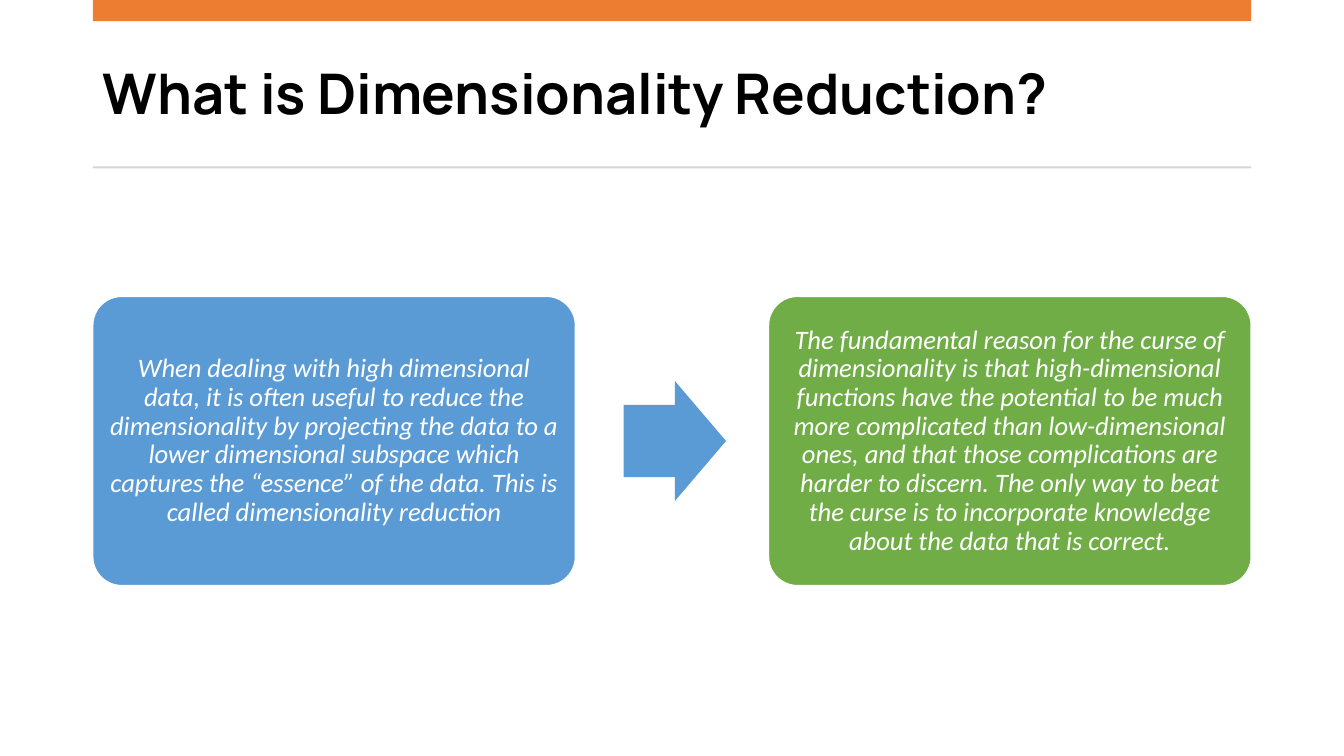
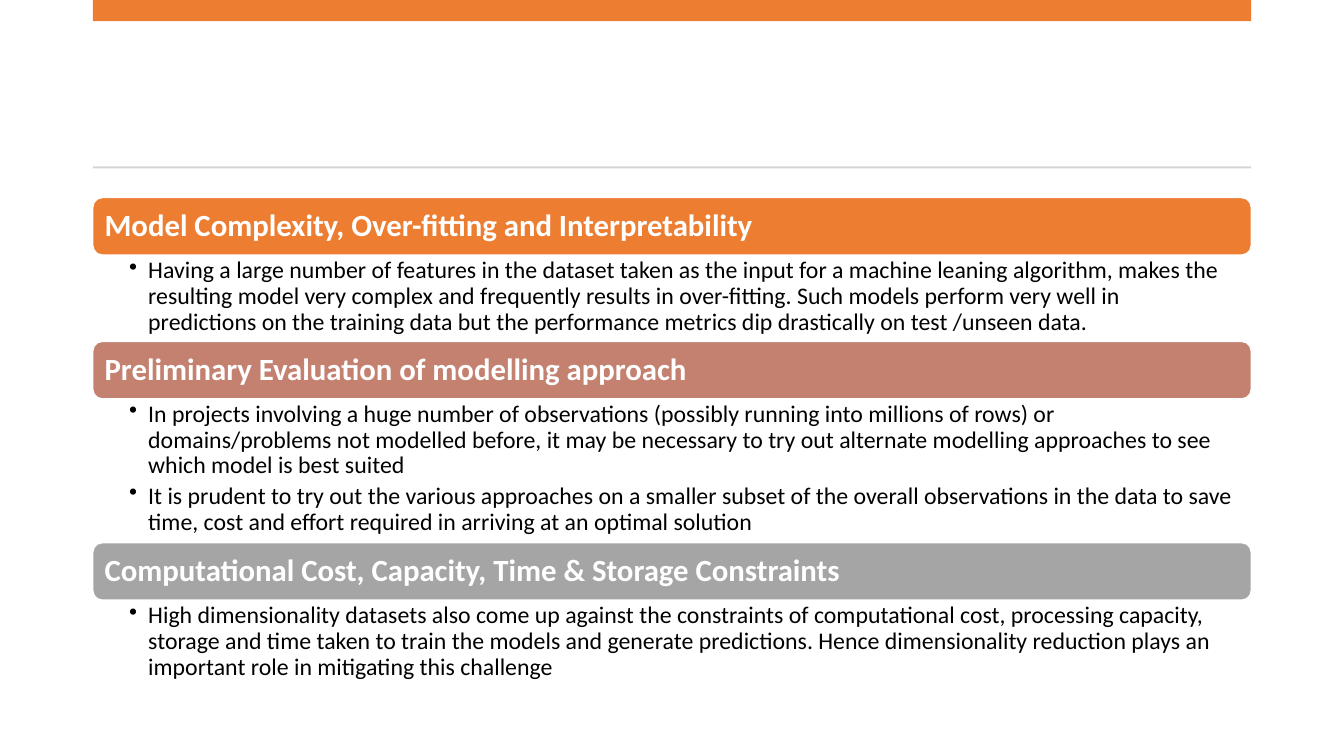
from pptx import Presentation
from pptx.dml.color import RGBColor
from pptx.enum.shapes import MSO_SHAPE
from pptx.enum.text import MSO_ANCHOR, MSO_AUTO_SIZE, PP_ALIGN
from pptx.oxml.ns import qn
from pptx.util import Inches, Pt
from lxml.etree import SubElement

WIDE, HIGH = 13.33, 7.5
LEFT, SPAN = 0.92, 11.49
COLS = 12
ORANGE, BLUE, GREEN = "ED7D31", "5B9BD5", "70AD47"
ROSE, GRAY, RULE = "C48170", "A5A5A5", "D5D5D5"
BLACK, WHITE = "000000", "FFFFFF"

CARDS = [
    (BLUE, "When dealing with high dimensional data, it is often useful to reduce the "
     "dimensionality by projecting the data to a lower dimensional subspace which "
     "captures the “essence” of the data. This is called dimensionality reduction"),
    (GREEN, "The fundamental reason for the curse of dimensionality is that "
     "high-dimensional functions have the potential to be much more complicated than "
     "low-dimensional ones, and that those complications are harder to discern. The "
     "only way to beat the curse is to incorporate knowledge about the data that is "
     "correct."),
]

# Heading, colour, lines of body text, bullets
TOPICS = [
    ("Model Complexity, Over-fitting and Interpretability", ORANGE, 3, [
        "Having a large number of features in the dataset taken as the input for a "
        "machine leaning algorithm, makes the resulting model very complex and "
        "frequently results in over-fitting. Such models perform very well in "
        "predictions on the training data but the performance metrics dip drastically "
        "on test /unseen data."]),
    ("Preliminary Evaluation of modelling approach", ROSE, 5, [
        "In projects involving a huge number of observations (possibly running into "
        "millions of rows) or domains/problems not modelled before, it may be necessary "
        "to try out alternate modelling approaches to see which model is best suited",
        "It is prudent to try out the various approaches on a smaller subset of the "
        "overall observations in the data to save time, cost and effort required in "
        "arriving at an optimal solution"]),
    ("Computational Cost, Capacity, Time & Storage Constraints", GRAY, 3, [
        "High dimensionality datasets also come up against the constraints of "
        "computational cost, processing capacity, storage and time taken to train the "
        "models and generate predictions. Hence dimensionality reduction plays an "
        "important role in mitigating this challenge"]),
]


def color(code):
    return RGBColor.from_string(code)


def inches(box):
    return [Inches(part) for part in box]


def write(shape, *texts, size, ink, font="Calibri", bold=False, italic=False,
          align=PP_ALIGN.LEFT, anchor=MSO_ANCHOR.MIDDLE,
          inset=(0.1, 0.05, 0.1, 0.05), after=0, bullet=False):
    """Fill a shape with paragraphs in one format."""
    frame = shape.text_frame
    frame.word_wrap = True
    frame.auto_size = MSO_AUTO_SIZE.NONE
    frame.vertical_anchor = anchor
    (frame.margin_left, frame.margin_top,
     frame.margin_right, frame.margin_bottom) = inches(inset)
    frame.text = "\n".join(texts)
    for para in frame.paragraphs:
        para.alignment = align
        para.line_spacing = 0.9
        para.space_after = Pt(after)
        look = para.runs[0].font
        look.name, look.size = font, Pt(size)
        look.bold, look.italic = bold, italic
        look.color.rgb = color(ink)
        if bullet:
            props = para._p.get_or_add_pPr()
            props.set("marL", str(Inches(0.19)))
            props.set("indent", str(-Inches(0.19)))
            SubElement(props, qn("a:buChar")).set("char", "•")


def draw(slide, kind, box, fill, line=None, adjust=()):
    """Add a flat preset shape."""
    shape = slide.shapes.add_shape(kind, *inches(box))
    shape.shadow.inherit = False
    shape.fill.solid()
    shape.fill.fore_color.rgb = color(fill)
    if line:
        shape.line.color.rgb = color(line)
        shape.line.width = Pt(1)
    else:
        shape.line.fill.background()
    for spot, value in enumerate(adjust):
        shape.adjustments[spot] = value
    return shape


def start(deck, title=None):
    """Add a slide with the shared band, rule and title style."""
    slide = deck.slides.add_slide(deck.slide_layouts[5 if title else 6])
    if title:
        head = slide.shapes.title
        head.left, head.top, head.width, head.height = inches((LEFT, 0.37, SPAN, 1.18))
        write(head, title, size=40, ink=BLACK, font="Manrope", bold=True)
    draw(slide, MSO_SHAPE.RECTANGLE, (LEFT, 0, SPAN, 0.21), ORANGE)
    draw(slide, MSO_SHAPE.RECTANGLE, (LEFT, 1.65, SPAN, 0.02), RULE)
    return slide


def flow(slide, box, cards):
    """Two cards of five columns, with an arrow between them."""
    left, top, width, height = box
    col = width / COLS
    for spot, (fill, text) in enumerate(cards):
        card = draw(slide, MSO_SHAPE.ROUNDED_RECTANGLE,
                    (left + spot * 7 * col, top, 5 * col, height),
                    fill, WHITE, [0.1])
        write(card, text, size=19, ink=WHITE, italic=True,
              align=PP_ALIGN.CENTER, inset=[0.08] * 4)
    tall = 0.415 * height
    draw(slide, MSO_SHAPE.RIGHT_ARROW,
         (left + 5.5 * col, top + (height - tall) / 2, 1.06 * col, tall),
         BLUE, adjust=[0.6, 0.5])


def stack(slide, box, topics):
    """Headings two rows high, each above a body of one row per line."""
    left, top, width, height = box
    row = height / sum(2 + lines for _, _, lines, _ in topics)
    for name, fill, lines, points in topics:
        bar = draw(slide, MSO_SHAPE.ROUNDED_RECTANGLE,
                   (left, top, width, 2 * row), fill, WHITE)
        write(bar, name, size=22, ink=WHITE, bold=True, inset=[0.09] * 4)
        top += 2 * row
        body = slide.shapes.add_textbox(*inches((left, top, width, lines * row)))
        write(body, *points, size=17, ink=BLACK, anchor=MSO_ANCHOR.TOP,
              inset=(0.36, 0.03, 0.17, 0.03), after=3.4, bullet=True)
        top += lines * row


def main():
    deck = Presentation()
    deck.slide_width, deck.slide_height = inches((WIDE, HIGH))
    flow(start(deck, "What is Dimensionality Reduction?"),
         (LEFT, 2.94, SPAN, 2.87), CARDS)
    stack(start(deck), (LEFT, 1.96, SPAN, 4.85), TOPICS)
    deck.save("out.pptx")


if __name__ == "__main__":
    main()
